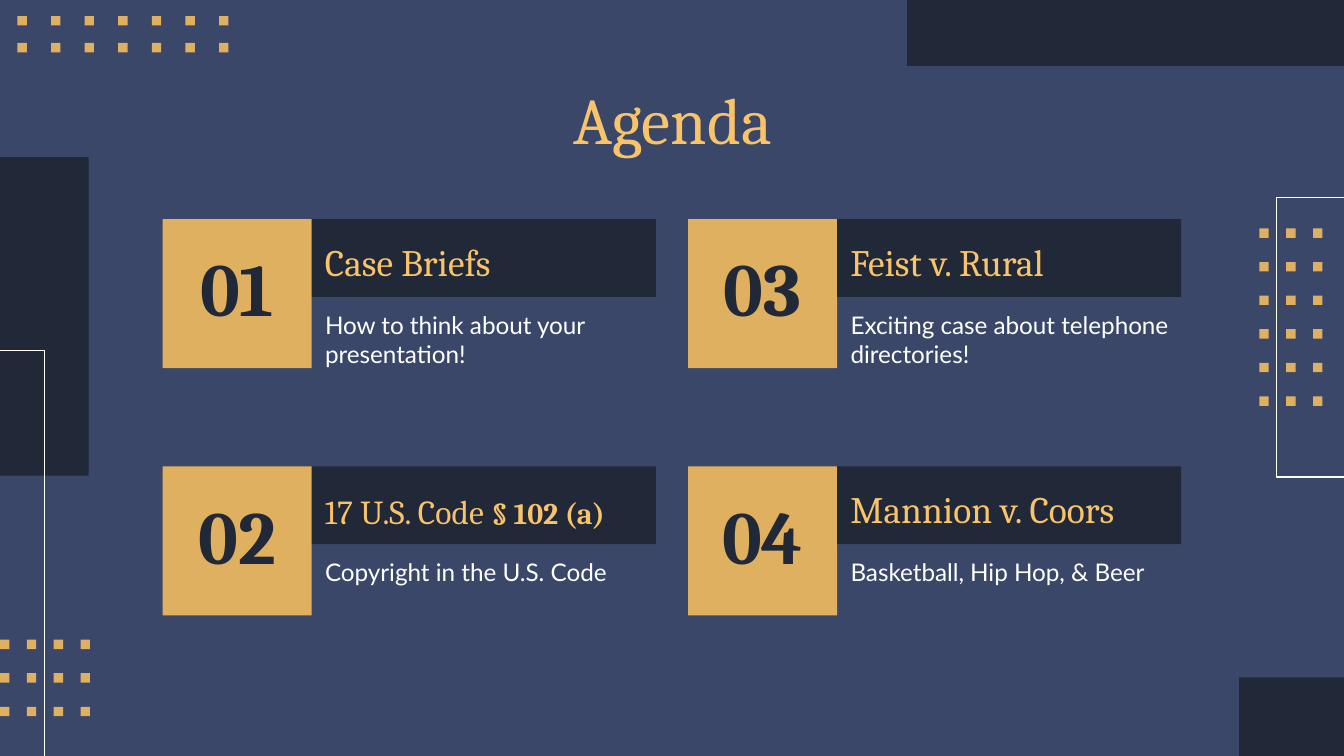
import pptx
import pptx.dml.color
import pptx.enum.shapes
import pptx.enum.text
import pptx.util
from dataclasses import dataclass

Inches = pptx.util.Inches
ANCHOR = pptx.enum.text.MSO_ANCHOR
ALIGN = pptx.enum.text.PP_ALIGN

SLIDE_W = 10
SLIDE_H = SLIDE_W * 9 / 16
GRID_LEFT, GRID_TOP = 1.21, 1.63
COLUMN_STEP, ROW_STEP = 3.91, 1.84
NUMBER_SIDE = 1.11
HEADING_W, HEADING_H = 2.56, 0.58
DETAIL_W, DETAIL_H = 2.71, 0.63
DOT_SIDE = 0.07
INSET = 0.1


@dataclass(frozen=True)
class Theme:
    background: str = "3A4769"
    dark: str = "212838"
    gold: str = "DFB05F"
    heading: str = "F8C36A"
    white: str = "FFFFFF"
    serif: str = "Cambria"
    sans: str = "Lato"
    title_size: int = 35
    number_size: int = 40
    heading_size: int = 20
    statute_size: int = 18
    section_size: int = 16
    detail_size: int = 13
    outline: float = 0.75


THEME = Theme()

# Heading runs are (text, size, bold); topics fill the grid column by column.
TOPICS = [
    ([("Case Briefs", THEME.heading_size, False)],
     "How to think about your presentation!"),
    ([("17 U.S. Code ", THEME.statute_size, False),
      ("§ 102 (a)", THEME.section_size, True)],
     "Copyright in the U.S. Code"),
    ([("Feist v. Rural", THEME.heading_size, False)],
     "Exciting case about telephone directories!"),
    ([("Mannion v. Coors", THEME.heading_size, False)],
     "Basketball, Hip Hop, & Beer"),
]


def rgb(code):
    return pptx.dml.color.RGBColor.from_string(code)


def add_block(shapes, left, top, width, height, color):
    block = shapes.add_shape(
        pptx.enum.shapes.MSO_SHAPE.RECTANGLE,
        Inches(left), Inches(top), Inches(width), Inches(height))
    block.shadow.inherit = False
    block.fill.solid()
    block.fill.fore_color.rgb = rgb(color)
    block.line.fill.background()
    return block


def add_outline(shapes, points):
    """Draw an open white line through points given in inches."""
    corners = [(Inches(x), Inches(y)) for x, y in points]
    builder = shapes.build_freeform(*corners[0], scale=1.0)
    builder.add_line_segments(corners[1:], close=False)
    outline = builder.convert_to_shape()
    outline.shadow.inherit = False
    outline.fill.background()
    outline.line.color.rgb = rgb(THEME.white)
    outline.line.width = pptx.util.Pt(THEME.outline)


def add_dots(shapes, left, top, columns, rows, step_x, step_y):
    dots = shapes.add_group_shape().shapes
    for column in range(columns):
        for row in range(rows):
            add_block(dots, left + column * step_x, top + row * step_y,
                      DOT_SIDE, DOT_SIDE, THEME.gold)


def write(box, pieces, font, color, anchor=ANCHOR.TOP, align=ALIGN.LEFT,
          insets=(INSET,) * 4):
    """Fill a box with one paragraph of (text, size, bold) pieces."""
    frame = box.text_frame
    frame.word_wrap = True
    frame.auto_size = pptx.enum.text.MSO_AUTO_SIZE.NONE
    frame.vertical_anchor = anchor
    (frame.margin_left, frame.margin_top,
     frame.margin_right, frame.margin_bottom) = map(Inches, insets)
    paragraph = frame.paragraphs[0]
    paragraph.alignment = align
    for text, size, bold in pieces:
        run = paragraph.add_run()
        run.text = text
        run.font.name = font
        run.font.size = pptx.util.Pt(size)
        run.font.bold = bold
        run.font.color.rgb = rgb(color)


def add_title(slide):
    title = slide.shapes.title
    title.left, title.top = Inches(0.79), Inches(0.49)
    title.width, title.height = Inches(8.43), Inches(0.63)
    write(title, [("Agenda", THEME.title_size, False)],
          THEME.serif, THEME.heading, align=ALIGN.CENTER)


def add_decorations(shapes):
    add_block(shapes, 9.22, 5.04, SLIDE_W - 9.22, SLIDE_H - 5.04, THEME.dark)
    add_block(shapes, 6.75, 0, SLIDE_W - 6.75, 0.49, THEME.dark)
    add_block(shapes, 0, 1.17, 0.66, 2.37, THEME.dark)
    add_outline(shapes, [(SLIDE_W, 1.47), (9.5, 1.47),
                         (9.5, 3.55), (SLIDE_W, 3.55)])
    add_outline(shapes, [(0.33, SLIDE_H), (0.33, 2.61), (0, 2.61)])
    add_dots(shapes, 9.37, 1.7, 3, 6, 0.2, 0.25)
    add_dots(shapes, 0.13, 0.12, 7, 2, 0.25, 0.2)
    add_dots(shapes, 0, 4.76, 4, 3, 0.2, 0.25)


def add_topic(shapes, index, heading, detail):
    column, row = divmod(index, 2)
    left = GRID_LEFT + column * COLUMN_STEP
    top = GRID_TOP + row * ROW_STEP
    text_left = left + NUMBER_SIDE

    number = add_block(shapes, left, top, NUMBER_SIDE, NUMBER_SIDE, THEME.gold)
    write(number, [(f"{index + 1:02d}", THEME.number_size, True)],
          THEME.serif, THEME.dark, ANCHOR.MIDDLE, ALIGN.CENTER,
          (0, 0, 0, INSET))

    banner = add_block(shapes, text_left, top, HEADING_W, HEADING_H, THEME.dark)
    write(banner, heading, THEME.serif, THEME.heading, ANCHOR.BOTTOM)

    summary = shapes.add_textbox(
        Inches(text_left), Inches(top + HEADING_H),
        Inches(DETAIL_W), Inches(DETAIL_H))
    write(summary, [(detail, THEME.detail_size, False)],
          THEME.sans, THEME.white)


def main():
    deck = pptx.Presentation()
    deck.slide_width, deck.slide_height = Inches(SLIDE_W), Inches(SLIDE_H)
    slide = deck.slides.add_slide(deck.slide_layouts.get_by_name("Title Only"))
    slide.background.fill.solid()
    slide.background.fill.fore_color.rgb = rgb(THEME.background)
    add_decorations(slide.shapes)
    add_title(slide)
    for index, (heading, detail) in enumerate(TOPICS):
        add_topic(slide.shapes, index, heading, detail)
    deck.save("out.pptx")


if __name__ == "__main__":
    main()
